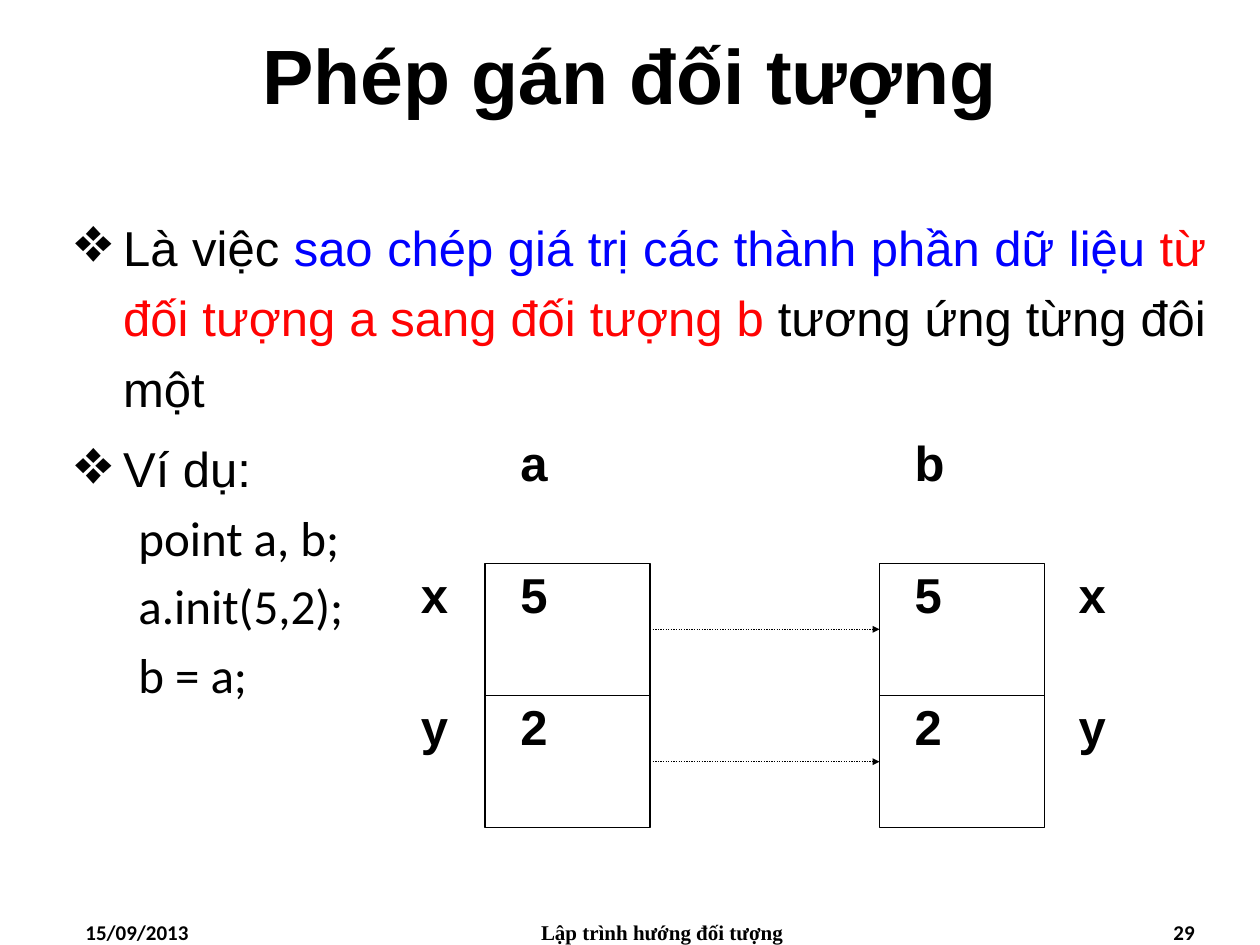
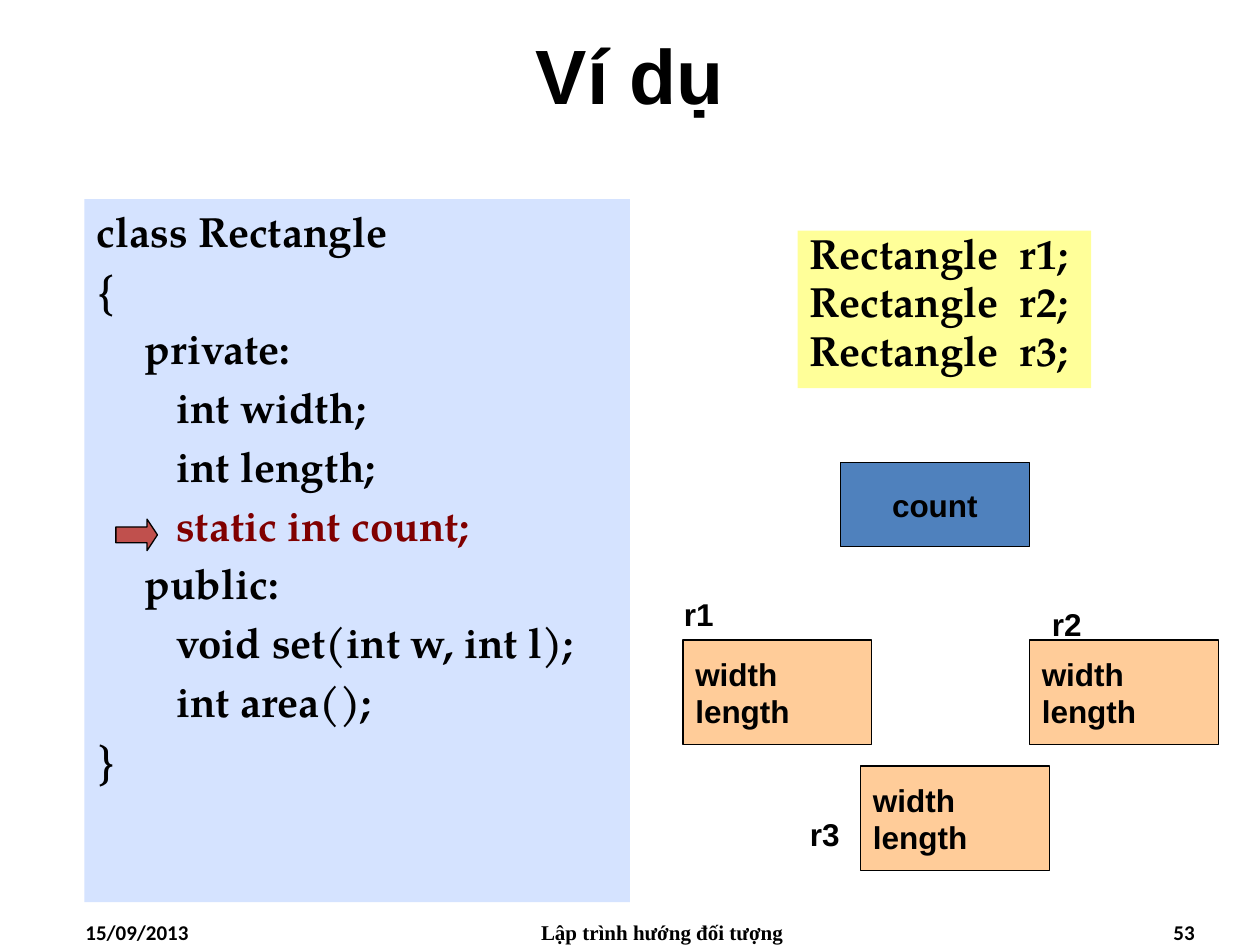
from dataclasses import dataclass

from lxml.etree import SubElement
from pptx import Presentation
from pptx.dml.color import RGBColor
from pptx.enum.dml import MSO_LINE
from pptx.enum.shapes import MSO_CONNECTOR, MSO_SHAPE
from pptx.enum.text import MSO_ANCHOR as Anchor, PP_ALIGN as Align
from pptx.oxml.ns import qn
from pptx.util import Inches, Pt

BLACK = "000000"
BLUE = "0000FF"
RED = "FF0303"
MAROON = "800000"
SANS = "Arial"
BODY = "Calibri"
SERIF = "Times New Roman"
CODE = "TeX Gyre Pagella"
SPACE_RATIO = 0.2
DATE = "15/09/2013"
COURSE = "Lập trình hướng đối tượng"


@dataclass(frozen=True)
class Style:
    size: int
    font: str = SANS
    bold: bool = True
    align: Align = Align.LEFT


@dataclass(frozen=True)
class Para:
    """Runs are (text, colour) pairs; margin and indent are in inches."""
    runs: tuple
    style: Style
    margin: float = 0
    indent: float = 0
    line_spacing: float = 1
    spaced: bool = False
    bullet: str = ""


@dataclass(frozen=True)
class Box:
    left: float
    top: float
    width: float
    height: float

    def lengths(self) -> list:
        return [Inches(v) for v in (self.left, self.top, self.width, self.height)]


TITLE = Style(44, align=Align.CENTER)
BULLET = Style(28, bold=False, align=Align.JUSTIFY)
SNIPPET = Style(28, BODY, False)
CELL = Style(28)
LABEL = Style(18)
LISTING = Style(24, CODE)

FOOTERS = (
    (Box(0.58, 7.25, 2.33, 0.25), Style(12, BODY)),
    (Box(3.67, 7.25, 3.17, 0.25), Style(12, SERIF, align=Align.CENTER)),
    (Box(7.25, 7.25, 2.33, 0.25), Style(12, BODY, align=Align.RIGHT)),
)


def rgb(value: str) -> RGBColor:
    return RGBColor.from_string(value)


def plain(text: str, style: Style) -> Para:
    return Para(((text, BLACK),), style)


def write(tf, paras, anchor=Anchor.TOP, wrap=True, inset=None) -> None:
    tf.word_wrap = wrap
    tf.vertical_anchor = anchor
    if inset is not None:
        tf.margin_left = tf.margin_right = Inches(inset)
        tf.margin_top = tf.margin_bottom = Inches(inset)
    for i, para in enumerate(paras):
        p = tf.add_paragraph() if i else tf.paragraphs[0]
        style = para.style
        p.alignment = style.align
        p.line_spacing = para.line_spacing
        p.space_before = Pt(style.size * SPACE_RATIO if para.spaced else 0)
        ppr = p._p.get_or_add_pPr()
        ppr.set("marL", str(Inches(para.margin)))
        ppr.set("indent", str(Inches(para.indent)))
        if para.bullet:
            SubElement(ppr, qn("a:buSzPct"), val="130000")
            SubElement(ppr, qn("a:buChar"), char=para.bullet)
        for text, color in para.runs:
            r = p.add_run()
            r.text = text
            r.font.size = Pt(style.size)
            r.font.name = style.font
            r.font.bold = style.bold
            r.font.color.rgb = rgb(color)


def add_text(slide, box: Box, paras, **options) -> None:
    write(slide.shapes.add_textbox(*box.lengths()).text_frame, paras, **options)


def add_block(slide, box: Box, fill=None, line=None, paras=(),
              kind=MSO_SHAPE.RECTANGLE, **options):
    sp = slide.shapes.add_shape(kind, *box.lengths())
    sp.shadow.inherit = False
    if fill:
        sp.fill.solid()
        sp.fill.fore_color.rgb = rgb(fill)
    else:
        sp.fill.background()
    if line:
        sp.line.color.rgb = rgb(line)
        sp.line.width = Pt(0.75)
    else:
        sp.line.fill.background()
    write(sp.text_frame, paras, **options)
    return sp


def add_line(slide, x1: float, y1: float, x2: float, y2: float):
    cx = slide.shapes.add_connector(
        MSO_CONNECTOR.STRAIGHT, *(Inches(v) for v in (x1, y1, x2, y2)))
    cx.line.color.rgb = rgb(BLACK)
    cx.line.width = Pt(0.75)
    SubElement(cx._element.spPr, qn("a:effectLst"))
    return cx


def add_dotted_arrow(slide, x1: float, x2: float, y: float) -> None:
    cx = add_line(slide, x1, y, x2, y)
    cx.line.dash_style = MSO_LINE.ROUND_DOT
    SubElement(cx.line._get_or_add_ln(), qn("a:tailEnd"),
               type="triangle", w="sm", len="sm")


def add_base_slide(prs, title: str, number: int):
    slide = prs.slides.add_slide(prs.slide_layouts[6])
    add_text(slide, Box(0, 0, 10, 1.17), [plain(title, TITLE)], anchor=Anchor.MIDDLE)
    for (box, style), text in zip(FOOTERS, (DATE, COURSE, str(number))):
        add_text(slide, box, [plain(text, style)])
    return slide


def add_object_copy_diagram(slide) -> None:
    """Draw objects a and b as two stacked cells, with arrows from a to b."""
    left_a, left_b, width = 3.85, 6.98, 1.31
    top, row = 4.47, 1.05
    values = ("5", "2")

    def cell_text(text: str, left: float, y: float, text_width: float = 0.78) -> None:
        add_text(slide, Box(left, y, text_width, row), [plain(text, CELL)], inset=0.01)

    for name, left in (("a", left_a), ("b", left_b)):
        frame = add_block(slide, Box(left, top, width, 2 * row), line=BLACK)
        divider = add_line(slide, left, top + row, left + width, top + row)
        divider.begin_connect(frame, 1)
        divider.end_connect(frame, 3)
        for i, text in enumerate((name, *values)):
            cell_text(text, left + 0.27, top + (i - 1) * row)
    for i, member in enumerate("xy"):
        y = top + i * row
        cell_text(member, 3.33, y, 0.52)
        cell_text(member, 8.55, y)
        add_dotted_arrow(slide, left_a + width, left_b, y + row / 2)


def build_assignment(prs) -> None:
    slide = add_base_slide(prs, "Phép gán đối tượng", 29)
    points = (
        (("Là việc ", BLACK),
         ("sao chép giá trị các thành phần dữ liệu ", BLUE),
         ("từ đối tượng a sang đối tượng b", RED),
         (" tương ứng từng đôi một", BLACK)),
        (("Ví dụ:", BLACK),),
    )
    paras = [Para(runs, BULLET, 0.38, -0.38, 1.2, True, "❖") for runs in points]
    paras += [Para(((text, BLACK),), SNIPPET, 0.81, -0.31, spaced=True)
              for text in ("point a, b;", "a.init(5,2);", "b = a;")]
    add_text(slide, Box(0.5, 1.58, 9.17, 5.39), paras)
    add_object_copy_diagram(slide)


def build_static_member(prs) -> None:
    slide = add_base_slide(prs, "Ví dụ", 53)
    section, member = 0.38, 0.63
    class_lines = (
        (0, "class Rectangle"),
        (0, "{"),
        (section, "private:"),
        (member, "int width;"),
        (member, "int length;"),
        (member, "static int count;"),
        (section, "public:"),
        (member, "void set(int w, int l);"),
        (member, "int area();"),
        (0, "}"),
    )
    listing = [
        Para(((text, MAROON if text.startswith("static") else BLACK),),
             LISTING, margin, spaced=True)
        for margin, text in class_lines
    ]
    add_block(slide, Box(0.67, 1.58, 4.33, 5.58), "D5E3FF", paras=listing)

    names = ("r1", "r2", "r3")
    declarations = [
        Para(((f"Rectangle  {name};", BLACK),), LISTING,
             line_spacing=0.8, spaced=True)
        for name in names
    ]
    add_block(slide, Box(6.33, 1.83, 2.33, 1.25), "FFFF99", paras=declarations)

    arrow = add_block(slide, Box(0.92, 4.12, 0.33, 0.25), "C0504D", BLACK,
                      kind=MSO_SHAPE.RIGHT_ARROW)
    arrow.adjustments[1] = 0.33

    fields = [plain(text, LABEL) for text in ("width", "length")]
    places = (((5.42, 5.08), (5.33, 4.67)),
              ((8.17, 5.08), (8.25, 4.75)),
              ((6.83, 6.08), (6.33, 6.42)))
    for name, (block_at, label_at) in zip(names, places):
        add_block(slide, Box(*block_at, 1.5, 0.83), "FFCC99", BLACK, fields,
                  anchor=Anchor.MIDDLE)
        add_text(slide, Box(*label_at, 0.44, 0.4), [plain(name, LABEL)], wrap=False)
    add_block(slide, Box(6.67, 3.67, 1.5, 0.67), "4F81BD", BLACK,
              [plain("count", Style(18, align=Align.CENTER))], anchor=Anchor.MIDDLE)


def main() -> None:
    prs = Presentation()
    prs.slide_width, prs.slide_height = Inches(10), Inches(7.5)
    build_assignment(prs)
    build_static_member(prs)
    prs.save("out.pptx")


if __name__ == "__main__":
    main()
